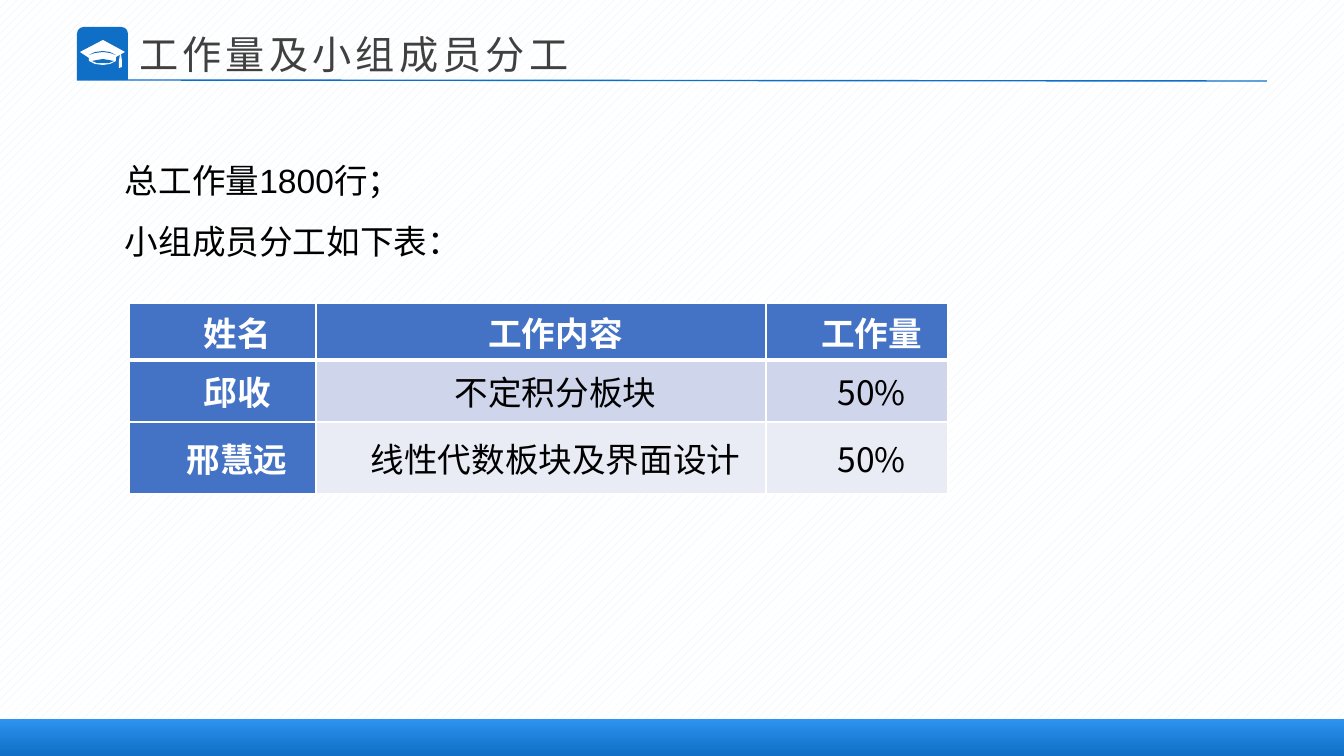
"""Build the workload and team division slide."""
from lxml import etree
from pptx import Presentation
from pptx.dml.color import RGBColor
from pptx.enum.dml import MSO_PATTERN
from pptx.enum.shapes import MSO_CONNECTOR, MSO_SHAPE
from pptx.enum.text import MSO_ANCHOR, PP_ALIGN
from pptx.oxml.ns import qn
from pptx.util import Pt

RECTANGLE = MSO_SHAPE.RECTANGLE
TAB = MSO_SHAPE.ROUND_2_SAME_RECTANGLE
STRAIGHT = MSO_CONNECTOR.STRAIGHT
DOTS = MSO_PATTERN.PERCENT_20
MIDDLE, LEFT, CENTER = MSO_ANCHOR.MIDDLE, PP_ALIGN.LEFT, PP_ALIGN.CENTER

SCALE = 12192000 / 1344
WIDTH, HEIGHT = 1344, 756
LATIN, CHINESE = "Arial", "Noto Sans CJK SC"
COLORS = {
    "blue": "0F6FC6", "light blue": "2D93EF", "dots": "DBEFF9",
    "white": "FFFFFF", "title": "404040", "black": "000000",
    "header": "4472C4", "odd": "CFD5EA", "even": "E9EBF5",
}

TITLE = "工作量及小组成员分工"
INTRO = ["总工作量1800行；", "小组成员分工如下表："]
DIVISION = [
    ["姓名", "工作内容", "工作量"],
    ["邱收", "不定积分板块", "50%"],
    ["邢慧远", "线性代数板块及界面设计", "50%"],
]
COLUMN_WIDTHS = [187, 450, 182]
ROW_HEIGHTS = [57, 62, 72]
CAP_PARTS = [
    ("white", [(80, 52), (103, 40), (125, 52), (116, 57), (116, 61), (110, 64),
               (103, 65), (95, 64), (89, 61), (89, 58)]),
    ("blue", [(89, 55), (95, 52), (103, 51), (110, 52), (116, 55),
              (110, 53), (103, 52), (95, 53)]),
    ("blue", [(92, 61), (97, 60), (103, 59), (109, 60), (114, 61),
              (109, 63), (103, 63), (97, 63)]),
    ("white", [(120, 54), (121, 54), (122, 61), (122, 67), (119, 68), (119, 61)]),
]


def px(value):
    return round(value * SCALE)


def color(name):
    return RGBColor.from_string(COLORS[name])


def paint(shape, name):
    shape.shadow.inherit = False
    shape.fill.solid()
    shape.fill.fore_color.rgb = color(name)
    shape.line.fill.background()


def add_block(page, kind, *box):
    block = page.shapes.add_shape(kind, *map(px, box))
    paint(block, "blue")
    return block


def write(para, text, size, name, latin=LATIN, bold=False, **layout):
    for key, value in layout.items():
        setattr(para, key, value)
    span = para.add_run()
    span.text = text
    for key, value in {"size": Pt(size), "name": latin, "bold": bold}.items():
        setattr(span.font, key, value)
    span.font.color.rgb = color(name)
    properties = span._r.get_or_add_rPr()
    etree.SubElement(properties, qn("a:ea"), typeface=CHINESE)
    return properties


def set_borders(cell, widths):
    properties = cell._tc.get_or_add_tcPr()
    for index, (side, width) in enumerate(widths.items()):
        line = etree.Element(qn("a:ln" + side), w=str(Pt(width)))
        fill = etree.SubElement(line, qn("a:solidFill"))
        etree.SubElement(fill, qn("a:srgbClr"), val=COLORS["white"])
        properties.insert(index, line)


def add_backdrop(page):
    backdrop = add_block(page, RECTANGLE, 0, 0, WIDTH, HEIGHT)
    backdrop.fill.patterned()
    backdrop.fill.pattern = DOTS
    backdrop.fill.fore_color.rgb = color("dots")
    backdrop.fill.back_color.rgb = color("white")

    footer = add_block(page, RECTANGLE, 0, 719, WIDTH, 37)
    footer.fill.gradient()
    footer.fill.gradient_angle = 90
    for stop, name in zip(footer.fill.gradient_stops, ["blue", "light blue"]):
        stop.color.rgb = color(name)


def add_heading(page):
    tab = add_block(page, TAB, 77, 27, 51, 53)
    tab.adjustments[0], tab.adjustments[1] = 0.13, 0
    for name, points in CAP_PARTS:
        outline = page.shapes.build_freeform(*points[0], scale=SCALE)
        outline.add_line_segments(points[1:])
        paint(outline.convert_to_shape(), name)

    rule = page.shapes.add_connector(STRAIGHT, *map(px, (77, 80, 1267, 81)))
    rule.line.color.rgb = color("blue")
    rule.line.width = Pt(1)
    etree.SubElement(rule.element.spPr, qn("a:effectLst"))

    title = page.shapes.title
    title.element.getparent().append(title.element)
    title.left, title.top, title.width, title.height = map(px, (129, 25, 736, 58))
    title.text_frame.vertical_anchor = MIDDLE
    properties = write(title.text_frame.paragraphs[0], TITLE, 28, "title", alignment=LEFT)
    properties.set("spc", "300")


def add_intro(page):
    frame = page.shapes.add_textbox(*map(px, (115, 135, 1104, 125))).text_frame
    frame.word_wrap = True
    for index, text in enumerate(INTRO):
        para = frame.add_paragraph() if index else frame.paragraphs[0]
        write(para, text, 24, "black", line_spacing=1.5)


def add_division(page):
    box = (129, 303, sum(COLUMN_WIDTHS), sum(ROW_HEIGHTS))
    table = page.shapes.add_table(len(DIVISION), len(COLUMN_WIDTHS), *map(px, box)).table
    for column, width in zip(table.columns, COLUMN_WIDTHS):
        column.width = px(width)
    cell_format = {"margin_left": px(7), "margin_right": px(7), "margin_top": 0,
                   "margin_bottom": 0, "vertical_anchor": MIDDLE}
    for row_index, texts in enumerate(DIVISION):
        table.rows[row_index].height = px(ROW_HEIGHTS[row_index])
        borders = {"L": 1, "R": 1, "T": 3 if row_index == 1 else 1,
                   "B": 3 if row_index == 0 else 1}
        band = "odd" if row_index % 2 else "even"
        for column_index, text in enumerate(texts):
            cell = table.cell(row_index, column_index)
            for key, value in cell_format.items():
                setattr(cell, key, value)
            heading = row_index == 0 or column_index == 0
            cell.fill.solid()
            cell.fill.fore_color.rgb = color("header" if heading else band)
            para = cell.text_frame.paragraphs[0]
            write(para, text, 24, "white" if heading else "black", CHINESE, heading,
                  alignment=CENTER)
            para._p.get_or_add_pPr().set("indent", str(px(29)))
            set_borders(cell, borders)


def main():
    deck = Presentation()
    deck.slide_width, deck.slide_height = px(WIDTH), px(HEIGHT)
    page = deck.slides.add_slide(deck.slide_layouts[5])
    add_backdrop(page)
    add_heading(page)
    add_intro(page)
    add_division(page)
    deck.save("out.pptx")


if __name__ == "__main__":
    main()
